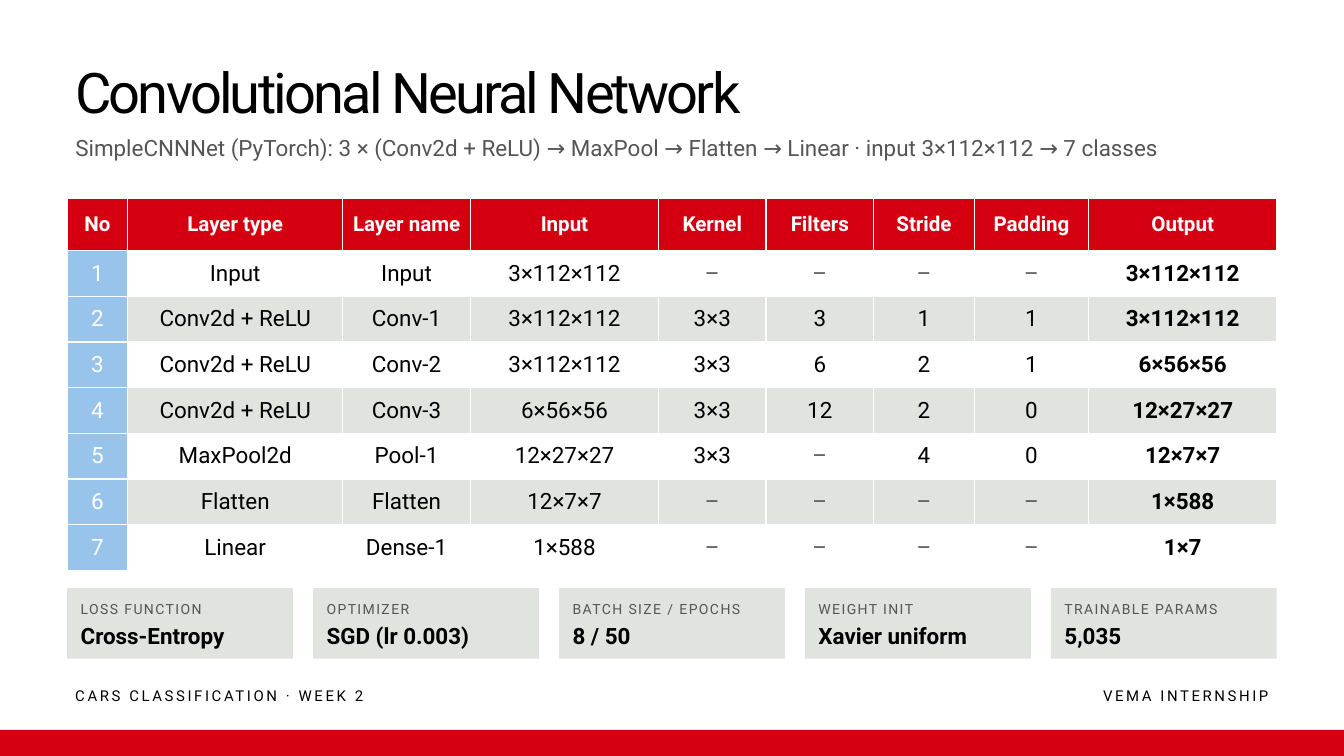
import pptx
import pptx.util
import pptx.dml.color
import pptx.enum.shapes
import pptx.enum.text
import pptx.oxml
import pptx.oxml.ns
from dataclasses import dataclass

Inches = pptx.util.Inches
ALIGN = pptx.enum.text.PP_ALIGN


@dataclass(frozen=True)
class Theme:
    font: str = "Roboto"
    red: str = "D40011"
    blue: str = "98C4EC"
    gray: str = "E1E3DE"
    white: str = "FFFFFF"
    ink: str = "000000"
    soft: str = "555555"
    title: int = 60
    body: int = 24
    head: int = 22
    foot: int = 16
    label: int = 15


T = Theme()

TITLE = "Convolutional Neural Network"
INTRO = ("SimpleCNNNet (PyTorch): 3 × (Conv2d + ReLU) → MaxPool → Flatten → Linear"
         " · input 3×112×112 → 7 classes")
FOOT = ("CARS CLASSIFICATION · WEEK 2", "VEMA INTERNSHIP")

HEADS = ["No", "Layer type", "Layer name", "Input", "Kernel",
         "Filters", "Stride", "Padding", "Output"]
WIDTHS = [0.9, 3.2, 1.9, 2.8, 1.6, 1.6, 1.5, 1.7, 2.8]
LAYERS = [
    ("Input", "Input", "3×112×112", "–", "–", "–", "–", "3×112×112"),
    ("Conv2d + ReLU", "Conv-1", "3×112×112", "3×3", "3", "1", "1", "3×112×112"),
    ("Conv2d + ReLU", "Conv-2", "3×112×112", "3×3", "6", "2", "1", "6×56×56"),
    ("Conv2d + ReLU", "Conv-3", "6×56×56", "3×3", "12", "2", "0", "12×27×27"),
    ("MaxPool2d", "Pool-1", "12×27×27", "3×3", "–", "4", "0", "12×7×7"),
    ("Flatten", "Flatten", "12×7×7", "–", "–", "–", "–", "1×588"),
    ("Linear", "Dense-1", "1×588", "–", "–", "–", "–", "1×7"),
]
FACTS = [
    ("LOSS FUNCTION", "Cross-Entropy"),
    ("OPTIMIZER", "SGD (lr 0.003)"),
    ("BATCH SIZE / EPOCHS", "8 / 50"),
    ("WEIGHT INIT", "Xavier uniform"),
    ("TRAINABLE PARAMS", "5,035"),
]

LEFT, WIDE = 1, 18
HEAD_H, ROW_H = 0.78, 0.68
GAP, PAD = 0.3, 0.2


def rgb(code):
    return pptx.dml.color.RGBColor.from_string(code)


def write(frame, text, size=T.body, color=T.ink, bold=False, align=ALIGN.LEFT, track=0):
    """Put one styled line in a text frame; track is letter spacing in points."""
    para = frame.paragraphs[0]
    para.alignment = align
    run = para.add_run()
    run.text = text
    font = run.font
    font.name, font.size, font.bold = T.font, pptx.util.Pt(size), bold
    font.color.rgb = rgb(color)
    if track:
        run._r.get_or_add_rPr().set("spc", str(round(track * 100)))


def add_text(slide, box, text, **style):
    frame = slide.shapes.add_textbox(*map(Inches, box)).text_frame
    frame.margin_left = frame.margin_right = 0
    frame.margin_top = frame.margin_bottom = 0
    frame.word_wrap = True
    frame.auto_size = pptx.enum.text.MSO_AUTO_SIZE.SHAPE_TO_FIT_TEXT
    write(frame, text, **style)


def add_rect(slide, box, color):
    kind = pptx.enum.shapes.MSO_SHAPE.RECTANGLE
    rect = slide.shapes.add_shape(kind, *map(Inches, box))
    rect.shadow.inherit = False
    rect.fill.solid()
    rect.fill.fore_color.rgb = rgb(color)
    rect.line.fill.background()


def add_edges(cell):
    """Draw white borders, which must come before the fill in the XML."""
    props = cell._tc.get_or_add_tcPr()
    for at, side in enumerate(("lnL", "lnR", "lnT", "lnB")):
        props.insert(at, pptx.oxml.parse_xml(
            f'<a:{side} {pptx.oxml.ns.nsdecls("a")} w="{pptx.util.Pt(1.5)}">'
            f'<a:solidFill><a:srgbClr val="{T.white}"/></a:solidFill></a:{side}>'))


def cell_look(row, col, text):
    """Return the fill and the text style for a place in the table."""
    if row == 0:
        return T.red, dict(size=T.head, color=T.white, bold=True)
    if col == 0:
        return T.blue, dict(color=T.white)
    fill = T.white if row % 2 else T.gray
    color = T.soft if text == "–" else T.ink
    return fill, dict(color=color, bold=col == len(HEADS) - 1)


def add_layers(slide):
    rows = [HEADS] + [(str(num), *layer) for num, layer in enumerate(LAYERS, 1)]
    tall = HEAD_H + ROW_H * len(LAYERS)
    table = slide.shapes.add_table(
        len(rows), len(HEADS), *map(Inches, (LEFT, 2.95, WIDE, tall))).table
    for col, width in zip(table.columns, WIDTHS):
        col.width = Inches(width)
    for r, row in enumerate(rows):
        table.rows[r].height = Inches(ROW_H if r else HEAD_H)
        for c, text in enumerate(row):
            cell = table.cell(r, c)
            fill, style = cell_look(r, c, text)
            cell.fill.solid()
            cell.fill.fore_color.rgb = rgb(fill)
            cell.margin_left = cell.margin_right = Inches(0.08)
            cell.margin_top = cell.margin_bottom = Inches(0.03)
            cell.vertical_anchor = pptx.enum.text.MSO_ANCHOR.MIDDLE
            write(cell.text_frame, text, align=ALIGN.CENTER, **style)
            add_edges(cell)


def add_facts(slide):
    width = (WIDE - GAP * (len(FACTS) - 1)) / len(FACTS)
    for num, (label, value) in enumerate(FACTS):
        left = LEFT + num * (width + GAP)
        inner = width - 2 * PAD
        add_rect(slide, (left, 8.75, width, 1.05), T.gray)
        add_text(slide, (left + PAD, 8.93, inner, 0.3), label,
                 size=T.label, color=T.soft, track=1.5)
        add_text(slide, (left + PAD, 9.25, inner, 0.45), value, bold=True)


def main():
    deck = pptx.Presentation()
    deck.slide_width, deck.slide_height = Inches(20), Inches(11.25)
    slide = deck.slides.add_slide(deck.slide_layouts[6])
    slide.background.fill.solid()
    slide.background.fill.fore_color.rgb = rgb(T.white)

    add_text(slide, (1.12, 0.85, 17.75, 1.05), TITLE, size=T.title, track=-3)
    add_text(slide, (1.12, 2, 17.75, 0.5), INTRO, color=T.soft)
    for left, text, align in zip((1.12, 10.88), FOOT, (ALIGN.LEFT, ALIGN.RIGHT)):
        add_text(slide, (left, 10.22, 8, 0.3), text, size=T.foot, align=align, track=2.8)
    add_rect(slide, (0, 10.86, 20, 0.4), T.red)
    add_layers(slide)
    add_facts(slide)
    deck.save("out.pptx")


if __name__ == "__main__":
    main()
